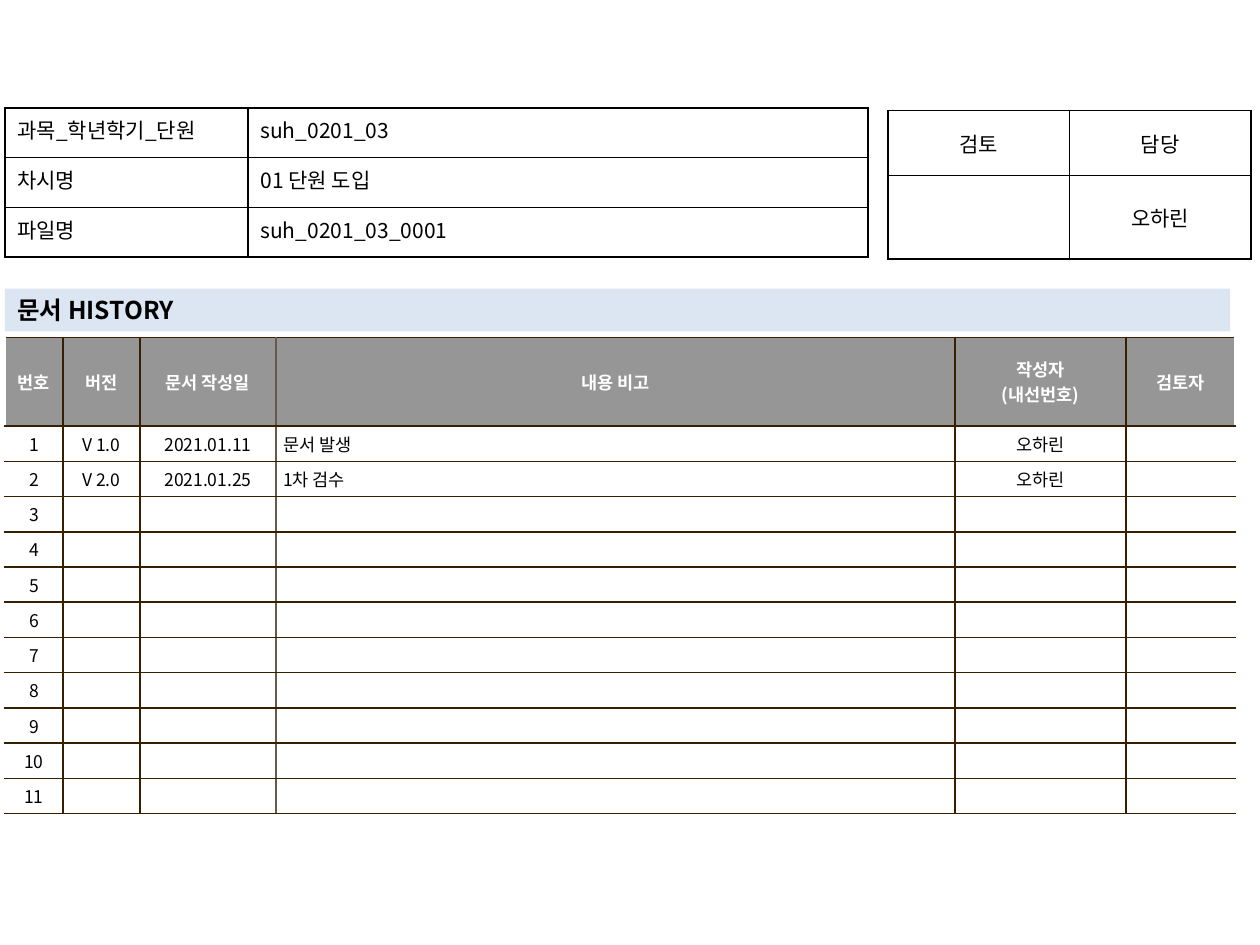
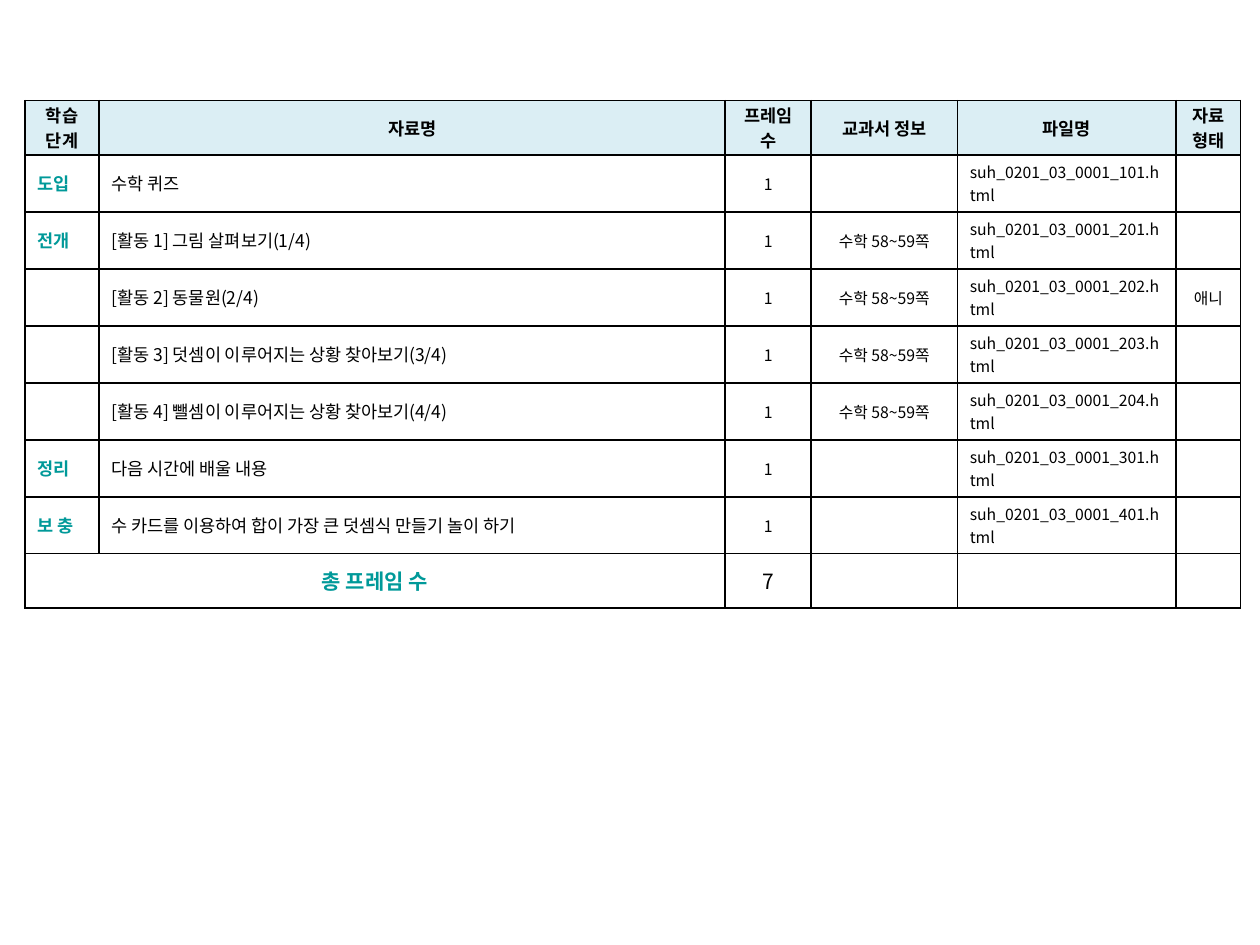
from lxml.etree import SubElement as Sub
from pptx import Presentation
from pptx.dml.color import RGBColor as Rgb
from pptx.enum.text import MSO_ANCHOR as Anchor, PP_ALIGN as Align
from pptx.oxml.ns import qn
from pptx.util import Cm, Pt

FONT = "Noto Sans CJK KR"
HUES = {
    "ink": "000000",
    "paper": "FFFFFF",
    "teal": "009999",
    "band": "DCE6F2",
    "gray": "969696",
    "ice": "DBEEF4",
    "brown": "362000",
    "taupe": "645B4C",
}
BASE = {"size": 10, "hue": "ink", "bold": False, "align": Align.LEFT,
        "anchor": Anchor.MIDDLE, "fill": None}
MID = {"align": Align.CENTER}
SIDES = {"L": "left", "R": "right", "T": "top", "B": "bottom"}

INFO = [
    ["과목_학년학기_단원", "suh_0201_03"],
    ["차시명", "01 단원 도입"],
    ["파일명", "suh_0201_03_0001"],
]
REVIEW = [["검토", "담당"], ["", "오하린"]]
HEADS = ["번호", "버전", "문서 작성일", "내용 비고", "작성자\n(내선번호)", "검토자"]
NOTES = [
    ["V 1.0", "2021.01.11", "문서 발생", "오하린", ""],
    ["V 2.0", "2021.01.25", "1차 검수", "오하린", ""],
]
TOPICS = ["학습 단계", "자료명", "프레임 수", "교과서 정보", "파일명", "자료\n형태"]
PAGES = "수학 58~59쪽"
STEPS = [
    ("도입", "수학 퀴즈", "", 101, ""),
    ("전개", "[활동 1] 그림 살펴보기(1/4)", PAGES, 201, ""),
    ("", "[활동 2] 동물원(2/4)", PAGES, 202, "애니"),
    ("", "[활동 3] 덧셈이 이루어지는 상황 찾아보기(3/4)", PAGES, 203, ""),
    ("", "[활동 4] 뺄셈이 이루어지는 상황 찾아보기(4/4)", PAGES, 204, ""),
    ("정리", "다음 시간에 배울 내용", "", 301, ""),
    ("보 충", "수 카드를 이용하여 합이 가장 큰 덧셈식 만들기 놀이 하기", "", 401, ""),
]


def color(name):
    return Rgb.from_string(HUES[name])


def apply(item, values):
    for key, value in values.items():
        setattr(item, key, value)


def paint(fill, name):
    if name:
        fill.solid()
        fill.fore_color.rgb = color(name)
    else:
        fill.background()


def write(frame, text, look):
    frame.text = text
    for par in frame.paragraphs:
        par.alignment = look["align"]
        for run in par.runs:
            apply(run.font, {"name": FONT, "size": Pt(look["size"]), "bold": look["bold"]})
            run.font.color.rgb = color(look["hue"])
            Sub(run.font._element, qn("a:ea"), typeface=FONT)
        Sub(par._p, qn("a:endParaRPr"), sz=str(look["size"] * 100))


def edge(cell, side, hue):
    line = Sub(cell._tc.get_or_add_tcPr(), qn("a:ln" + side), w=str(Pt(1)))
    fill = Sub(line, qn("a:solidFill"))
    Sub(fill, qn("a:srgbClr"), val=HUES[hue])


def add_grid(slide, place, cols, rows, data, style, pad=(0.25, 0.13), rule=None):
    shape = slide.shapes.add_table(len(rows), len(cols), *map(Cm, place),
                                   Cm(sum(cols)), Cm(sum(rows)))
    grid = shape.table
    apply(grid, {"first_row": False, "horz_banding": False})
    for col, width in zip(grid.columns, cols):
        col.width = Cm(width)
    for row, height in zip(grid.rows, rows):
        row.height = Cm(height)
    for r, line in enumerate(data):
        for c, text in enumerate(line):
            cell = grid.cell(r, c)
            look = BASE | style(r, c)
            apply(cell, {"margin_" + name: Cm(pad[side in "TB"])
                         for side, name in SIDES.items()})
            cell.vertical_anchor = look["anchor"]
            write(cell.text_frame, text, look)
            for side in SIDES:
                hue = rule(c, side) if rule else "ink"
                if hue:
                    edge(cell, side, hue)
            paint(cell.fill, look["fill"])
    return grid


def add_band(slide, text, place):
    band = slide.shapes.title
    apply(band, dict(zip(("left", "top", "width", "height"), map(Cm, place))))
    paint(band.fill, "band")
    frame = band.text_frame
    apply(frame, {"word_wrap": True, "vertical_anchor": Anchor.MIDDLE,
                  "margin_left": Cm(0.25), "margin_top": 0, "margin_bottom": 0})
    write(frame, text, BASE | {"size": 14, "bold": True})


def info_look(r, c):
    return {"size": 12, "anchor": Anchor.TOP,
            "align": Align.LEFT if c else Align.JUSTIFY}


def review_look(r, c):
    return MID | {"size": 12}


def log_look(r, c):
    if r == 0:
        return MID | {"hue": "paper", "bold": True, "fill": "gray"}
    return {"fill": "paper"} | ({} if c == 3 else MID)


def log_rule(c, side):
    if (c, side) in ((0, "L"), (5, "R")):
        return None
    return "taupe" if (c, side) in ((2, "R"), (3, "L")) else "brown"


def plan_look(r, c):
    if r == 0:
        return MID | {"bold": True, "fill": "ice"}
    if r > len(STEPS):
        return MID | {"size": 12} | ({} if c else {"hue": "teal", "bold": True})
    if c == 0:
        return {"hue": "teal", "bold": True, "align": Align.JUSTIFY}
    if c == 1:
        return {}
    return {"size": 9} | ({} if c == 4 else MID)


def add_log(deck):
    slide = deck.slides.add_slide(deck.slide_layouts[5])
    add_band(slide, "문서 HISTORY", (0.1, 5.82, 24.7, 0.86))
    logs = [[str(n + 1)] + (NOTES[n] if n < len(NOTES) else [""] * 5) for n in range(11)]
    add_grid(slide, (0.1, 6.8), [1.17, 1.55, 2.74, 13.69, 3.45, 2.2],
             [1.79] + [0.71] * 11, [HEADS] + logs, log_look, (0.15, 0.1), log_rule)
    add_grid(slide, (17.9, 2.23), [3.66] * 2, [1.31, 1.68], REVIEW, review_look)
    add_grid(slide, (0.1, 2.18), [4.9, 12.5], [1] * 3, INFO, info_look)


def add_plan(deck):
    slide = deck.slides.add_slide(deck.slide_layouts[6])
    steps = [[step, name, "1", pages, f"suh_0201_03_0001_{code}.html", kind]
             for step, name, pages, code, kind in STEPS]
    total = ["총 프레임 수", "", str(len(STEPS)), "", "", ""]
    grid = add_grid(slide, (0.5, 2.03), [1.5, 12.62, 1.73, 2.95, 4.41, 1.3],
                    [1.09] + [1.15] * len(STEPS) + [1.09],
                    [TOPICS] + steps + [total], plan_look, (0.25, 0.02))
    last = len(STEPS) + 1
    grid.cell(last, 0).merge(grid.cell(last, 1))


def main():
    deck = Presentation()
    apply(deck, {"slide_width": Cm(25.4), "slide_height": Cm(19.05)})
    add_log(deck)
    add_plan(deck)
    deck.save("out.pptx")


if __name__ == "__main__":
    main()
